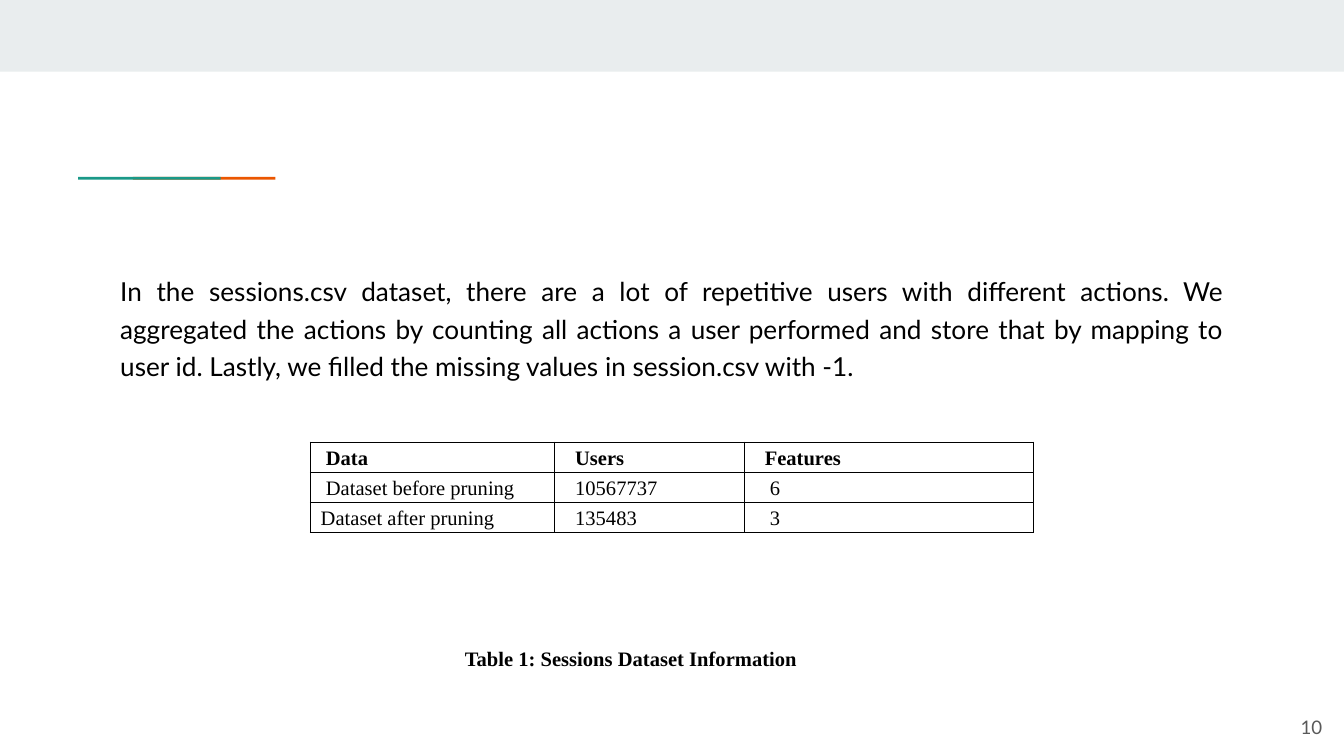
from lxml import etree
from pptx import Presentation
from pptx.dml.color import RGBColor
from pptx.enum.shapes import MSO_SHAPE
from pptx.enum.text import MSO_ANCHOR, PP_ALIGN
from pptx.oxml.ns import qn
from pptx.util import Pt

RECTANGLE = MSO_SHAPE.RECTANGLE
TOP, MIDDLE = MSO_ANCHOR.TOP, MSO_ANCHOR.MIDDLE
LEFT, RIGHT, JUSTIFY = PP_ALIGN.LEFT, PP_ALIGN.RIGHT, PP_ALIGN.JUSTIFY

BLACK = RGBColor(0x00, 0x00, 0x00)
GRAY = RGBColor(0x59, 0x59, 0x59)
PALE = RGBColor(0xE9, 0xED, 0xEE)
TEAL = RGBColor(0x1A, 0x99, 0x88)
ORANGE = RGBColor(0xEB, 0x56, 0x00)
SANS, SERIF = "Lato", "Times New Roman"

BODY = (
    "In the sessions.csv dataset, there are a lot of repetitive users with "
    "different actions. We aggregated the actions by counting all actions a "
    "user performed and store that by mapping to user id. Lastly, we filled "
    "the missing values in session.csv with -1."
)
CAPTION = "Table 1: Sessions Dataset Information"
PAGE_NUMBER = "10"

# Each cell is its text and its left indent in steps
TABLE_ROWS = [
    [("Data", 3), ("Users", 4), ("Features", 4)],
    [("Dataset before pruning", 3), ("10567737", 4), ("6", 5)],
    [("Dataset after pruning", 2), ("135483", 4), ("3", 5)],
]
INDENT_STEP = 2.75
COLUMN_WIDTHS = [130.8, 101.6, 155]
ROW_HEIGHT = 16
TABLE_LEFT, TABLE_TOP = 166.3, 236.9

# Left, top, width, height, colour; the teal bar overlaps the orange one
BARS = [
    (0, 0, 720, 38.4, PALE),
    (71.2, 94.8, 76.4, 1.5, ORANGE),
    (41.8, 94.8, 76.4, 1.5, TEAL),
]


def style_font(paragraph, name, size, color, bold=False):
    for run in paragraph.runs:
        run.font.name = name
        run.font.size = Pt(size)
        run.font.color.rgb = color
        run.font.bold = bold


def add_bar(slide, left, top, width, height, color):
    bar = slide.shapes.add_shape(RECTANGLE, Pt(left), Pt(top), Pt(width), Pt(height))
    bar.shadow.inherit = False
    bar.fill.solid()
    bar.fill.fore_color.rgb = color
    bar.line.fill.background()


def add_text(slide, box, text, font, size, color, bold=False,
             align=LEFT, anchor=MIDDLE, spacing=1.0):
    shape = slide.shapes.add_textbox(*(Pt(length) for length in box))
    frame = shape.text_frame
    frame.word_wrap = True
    frame.vertical_anchor = anchor
    frame.margin_left = frame.margin_right = Pt(7.2)
    frame.margin_top = frame.margin_bottom = Pt(7.2)
    frame.text = text
    paragraph = frame.paragraphs[0]
    paragraph.alignment = align
    paragraph.line_spacing = spacing
    style_font(paragraph, font, size, color, bold)


def add_borders(cell):
    properties = cell._tc.get_or_add_tcPr()
    for position, side in enumerate(("a:lnL", "a:lnR", "a:lnT", "a:lnB")):
        line = etree.Element(qn(side), w=str(Pt(0.75)))
        fill = etree.SubElement(line, qn("a:solidFill"))
        etree.SubElement(fill, qn("a:srgbClr"), val=str(BLACK))
        properties.insert(position, line)


def add_data_table(slide):
    frame = slide.shapes.add_table(
        len(TABLE_ROWS), len(COLUMN_WIDTHS), Pt(TABLE_LEFT), Pt(TABLE_TOP),
        Pt(sum(COLUMN_WIDTHS)), Pt(ROW_HEIGHT * len(TABLE_ROWS)))
    table = frame.table
    table.horz_banding = False
    for column, width in zip(table.columns, COLUMN_WIDTHS):
        column.width = Pt(width)
    for row_index, row in enumerate(TABLE_ROWS):
        table.rows[row_index].height = Pt(ROW_HEIGHT)
        for column_index, (text, steps) in enumerate(row):
            cell = table.cell(row_index, column_index)
            cell.fill.background()
            cell.margin_left = Pt(steps * INDENT_STEP)
            cell.margin_right = cell.margin_top = cell.margin_bottom = 0
            cell.vertical_anchor = TOP
            cell.text = text
            paragraph = cell.text_frame.paragraphs[0]
            paragraph.line_spacing = 1.22
            style_font(paragraph, SERIF, 11, BLACK, bold=row_index == 0)
            add_borders(cell)


def main():
    presentation = Presentation()
    presentation.slide_width, presentation.slide_height = Pt(720), Pt(405)
    slide = presentation.slides.add_slide(presentation.slide_layouts[6])
    for bar in BARS:
        add_bar(slide, *bar)
    add_text(slide, (57.3, 137, 605.5, 177.8), BODY, SANS, 14, BLACK,
             align=JUSTIFY, anchor=TOP, spacing=1.2)
    add_data_table(slide)
    add_text(slide, (241.9, 315.4, 236.2, 74.9), CAPTION, SERIF, 11, BLACK, bold=True)
    add_text(slide, (672.2, 374, 43.2, 31), PAGE_NUMBER, SANS, 10, GRAY, align=RIGHT)
    presentation.save("out.pptx")


if __name__ == "__main__":
    main()
